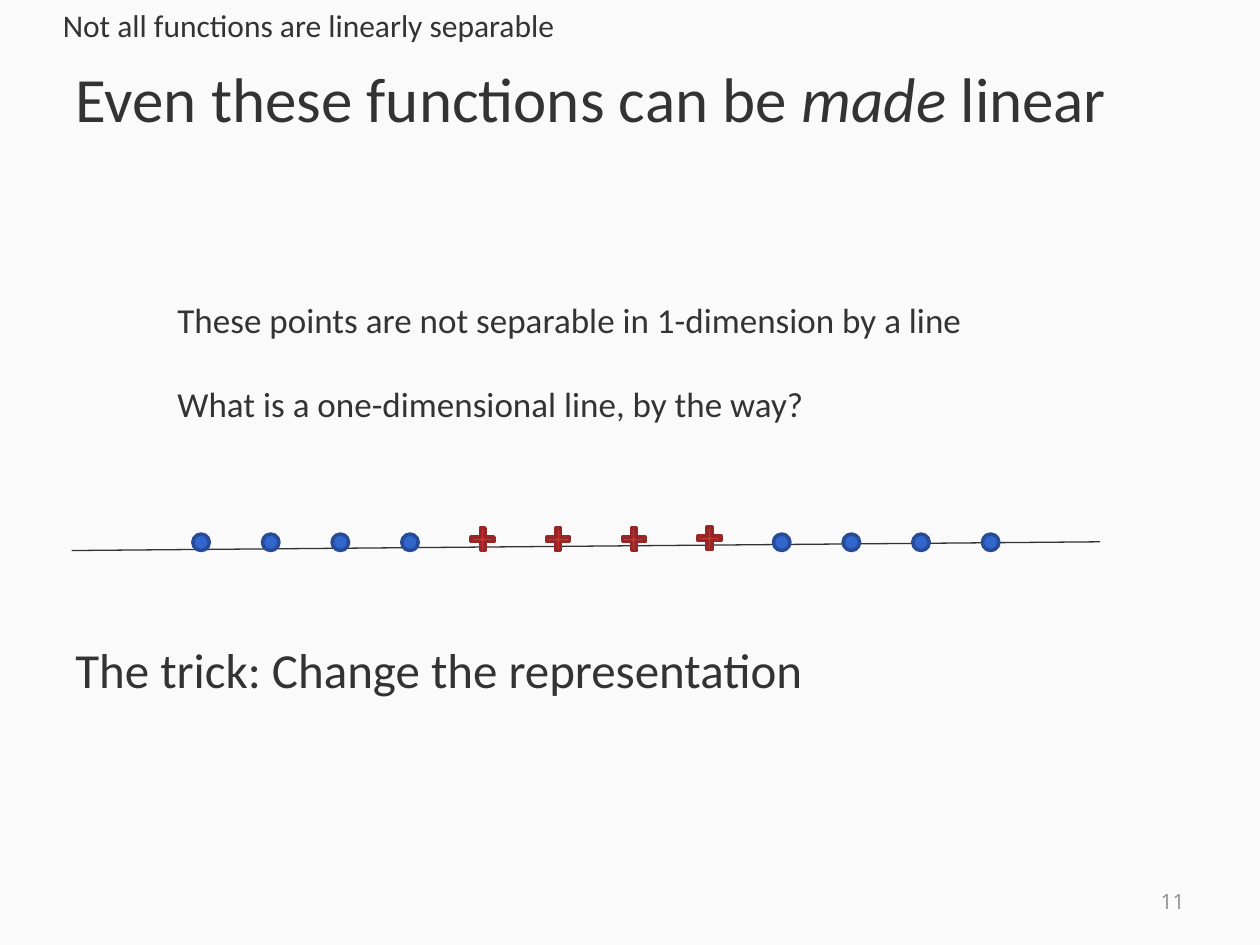
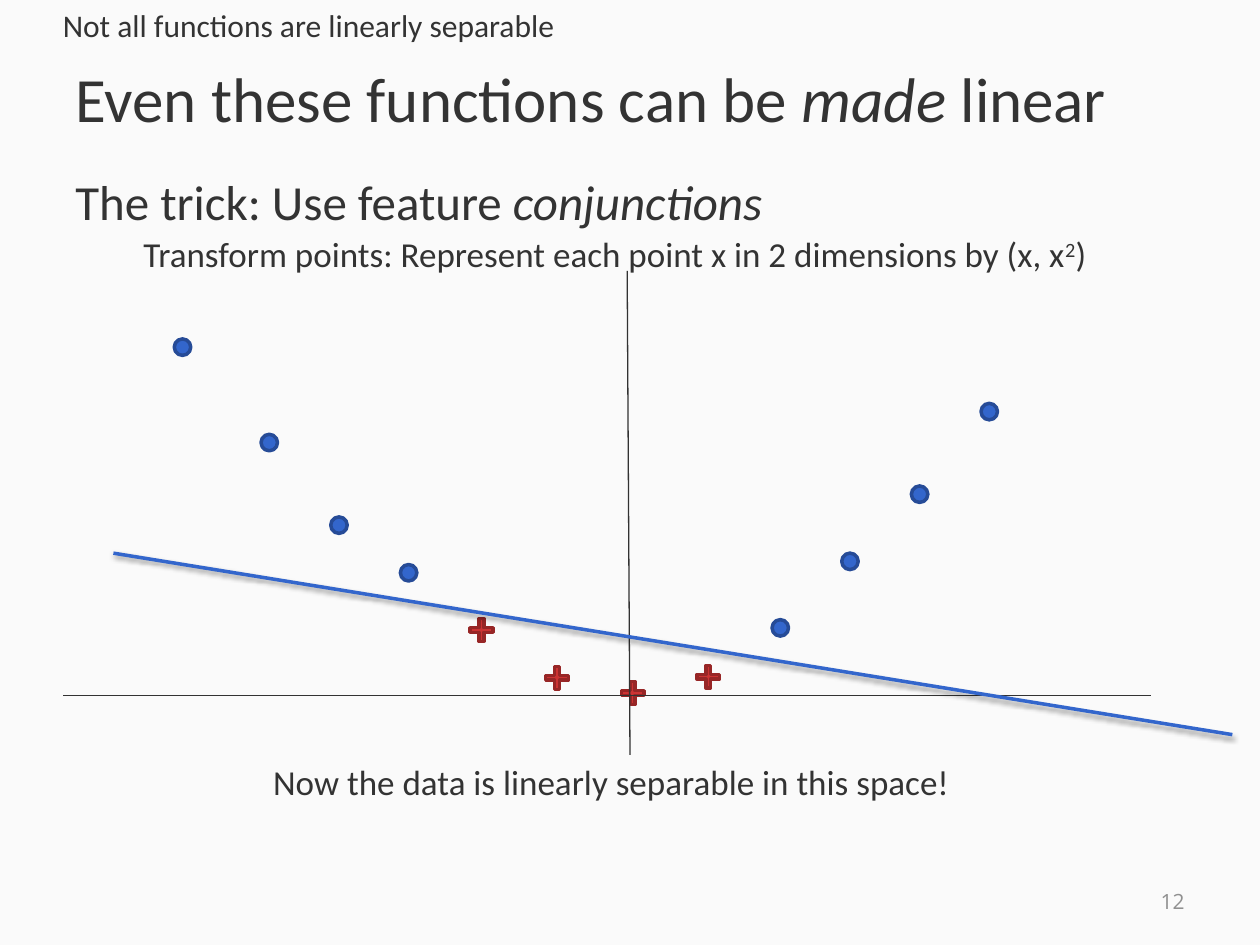
from lxml import etree
from pptx import Presentation
from pptx.dml.color import RGBColor
from pptx.enum.shapes import MSO_CONNECTOR as Connector, MSO_SHAPE as Shape
from pptx.enum.text import MSO_ANCHOR as Anchor, PP_ALIGN as Align
from pptx.oxml.ns import qn
from pptx.util import Pt

COLORS = {
    "background": "FAFAFA", "text": "333333", "number": "909090", "axis": "323232",
    "circle": "3366CC", "circle_edge": "264B97",
    "cross": "CC3333", "cross_edge": "972626", "shadow": "000000",
}
TITLE = [("Even these functions can be ", ""), ("made ", "italic"), ("linear", "")]
TOPIC = "Not all functions are linearly separable"

CIRCLE_SIZE, CROSS_SIZE = 9.4, 13
CIRCLE_LEFTS = [start + 39.8 * i for start in (110.2, 442) for i in range(4)]
CROSS_LEFTS = [269.3 + 43.2 * i for i in range(4)]


def color(name):
    return RGBColor.from_string(COLORS[name])


def add_text(slide, box, paragraphs, size, font="Calibri", ink="text", wrap=True,
             anchor=Anchor.TOP, align=Align.LEFT, gap=0):
    """Each paragraph is a string or a list of (text, style) parts."""
    frame = slide.shapes.add_textbox(*map(Pt, box)).text_frame
    frame.word_wrap = wrap
    frame.vertical_anchor = anchor
    for index, parts in enumerate(paragraphs):
        paragraph = frame.add_paragraph() if index else frame.paragraphs[0]
        paragraph.alignment = align
        paragraph.space_before = Pt(gap if index else 0)
        for text, style in [(parts, "")] if isinstance(parts, str) else parts:
            run = paragraph.add_run()
            run.text = text
            run.font.name = font
            run.font.size = Pt(size)
            run.font.color.rgb = color(ink)
            if style == "italic":
                run.font.italic = True
            elif style == "superscript":
                run._r.get_or_add_rPr().set("baseline", "30000")


def add_line(slide, start, end, ink="axis", width=0.75, shadow=False):
    line = slide.shapes.add_connector(Connector.STRAIGHT, *map(Pt, start + end))
    line.line.color.rgb = color(ink)
    line.line.width = Pt(width)
    effects = etree.SubElement(line._element.spPr, qn("a:effectLst"))
    if shadow:
        outer = etree.SubElement(effects, qn("a:outerShdw"), blurRad="40000",
                                 dist="20000", dir="5400000", rotWithShape="0")
        shade = etree.SubElement(outer, qn("a:srgbClr"), val=COLORS["shadow"])
        etree.SubElement(shade, qn("a:alpha"), val="38000")


def add_marker(slide, preset, left, top, size, ink):
    marker = slide.shapes.add_shape(preset, Pt(left), Pt(top), Pt(size), Pt(size))
    marker.shadow.inherit = False
    marker.fill.solid()
    marker.fill.fore_color.rgb = color(ink)
    marker.line.color.rgb = color(ink + "_edge")
    marker.line.width = Pt(2)
    if preset == Shape.CROSS:
        marker.adjustments[0] = 0.398


def add_points(slide, circles, crosses):
    """Draw both classes of points, given as (left, top) pairs."""
    for left, top in circles:
        add_marker(slide, Shape.OVAL, left, top, CIRCLE_SIZE, "circle")
    for left, top in crosses:
        add_marker(slide, Shape.CROSS, left, top, CROSS_SIZE, "cross")


def add_trick(slide, top, parts):
    add_text(slide, (36, top, 648, 42), [parts], 28)


def add_base_slide(presentation, number):
    slide = presentation.slides.add_slide(presentation.slide_layouts[6])
    slide.background.fill.solid()
    slide.background.fill.fore_color.rgb = color("background")
    add_text(slide, (36, 10.8, 648, 90), [TITLE], 36, anchor=Anchor.MIDDLE)
    add_text(slide, (28.8, 0, 298.8, 29), [TOPIC], 18, wrap=False)
    add_text(slide, (516, 500.5, 168, 28.8), [str(number)], 12, "Open Sans", "number",
             anchor=Anchor.MIDDLE, align=Align.RIGHT)
    return slide


def build_one_dimension(presentation):
    slide = add_base_slide(presentation, 11)
    add_line(slide, (41, 314.6), (628.6, 309.6))
    add_points(slide,
               [(left, 305.2) for left in CIRCLE_LEFTS],
               zip(CROSS_LEFTS, (301.7, 301.7, 301.7, 301)))
    add_text(slide, (94.3, 167, 467.3, 80), [
        "These points are not separable in 1-dimension by a line",
        "What is a one-dimensional line, by the way?",
    ], 20, wrap=False, gap=24)
    add_trick(slide, 361.7, "The trick: Change the representation")


def build_two_dimensions(presentation):
    slide = add_base_slide(presentation, 12)
    add_trick(slide, 94.3, [("The trick: Use feature ", ""), ("conjunctions", "italic")])
    circle_lefts = [99.6] + [left - 0.8 for left in CIRCLE_LEFTS[1:]]
    circle_tops = (193.7, 248.2, 295.4, 322.6, 354.1, 316.1, 277.7, 230.5)
    cross_lefts = [left - 0.7 for left in CROSS_LEFTS]
    add_points(slide,
               zip(circle_lefts, circle_tops),
               zip(cross_lefts, (353.5, 380.9, 389.5, 380.2)))
    add_text(slide, (74.9, 129.6, 561.6, 31.7), [[
        ("Transform points: Represent each point x in 2 dimensions by (x, x", ""),
        ("2", "superscript"), (")", ""),
    ]], 20, wrap=False)
    add_line(slide, (36, 397.4), (658, 397.4))
    add_line(slide, (360, 431.3), (358.4, 154.8))
    add_line(slide, (64.8, 316.1), (704.2, 419.8), "circle", 2, shadow=True)
    add_text(slide, (149, 431.3, 404.6, 31.7),
             ["Now the data is linearly separable in this space!"], 20, wrap=False)


def main():
    presentation = Presentation()
    presentation.slide_width = Pt(720)
    presentation.slide_height = Pt(540)
    build_one_dimension(presentation)
    build_two_dimensions(presentation)
    presentation.save("out.pptx")


if __name__ == "__main__":
    main()
